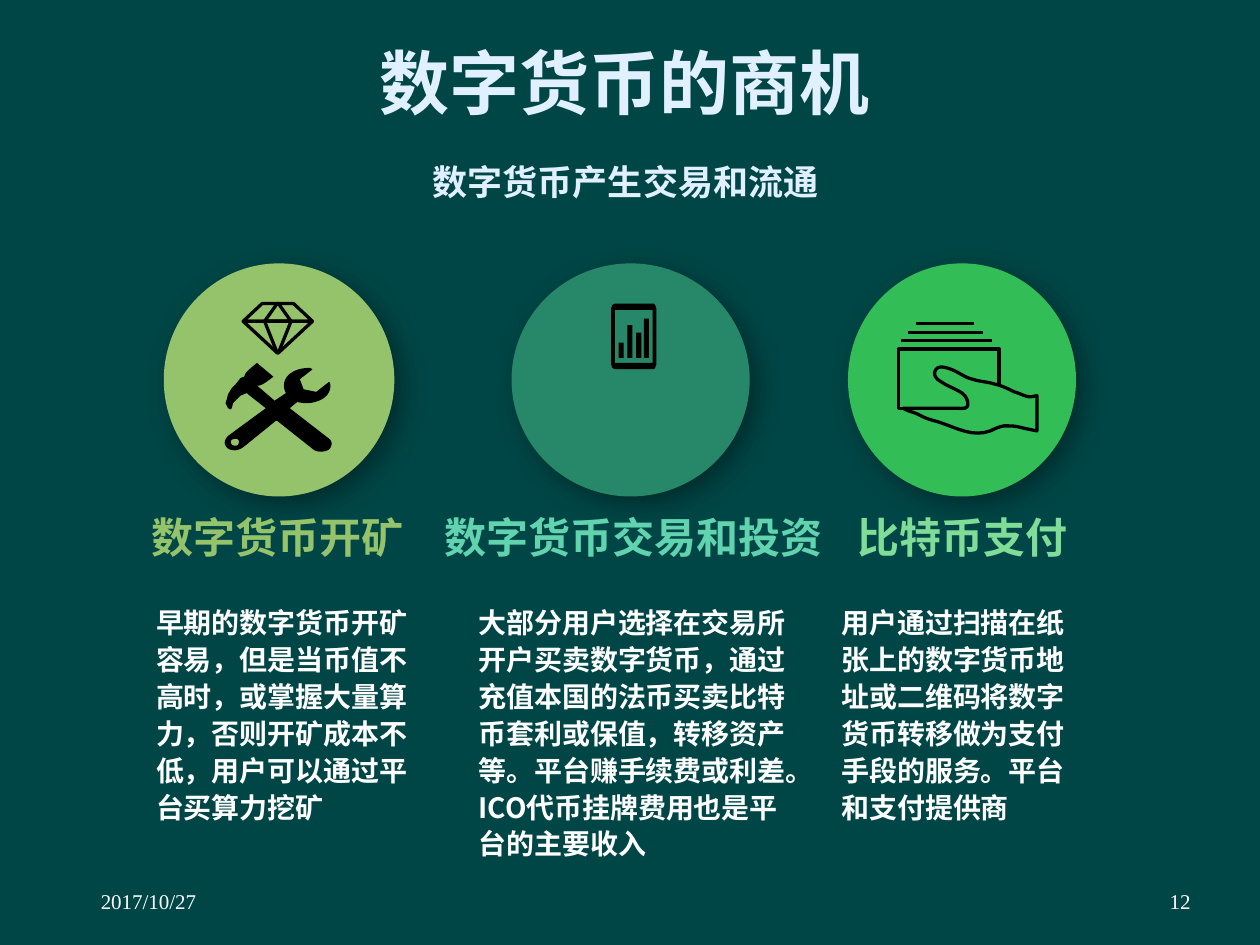
from dataclasses import dataclass

from lxml import etree
from pptx import Presentation
from pptx.dml.color import RGBColor
from pptx.enum.shapes import MSO_CONNECTOR, MSO_SHAPE
from pptx.enum.text import MSO_ANCHOR, MSO_AUTO_SIZE, PP_ALIGN
from pptx.oxml.ns import qn
from pptx.util import Inches, Pt

LEFT, CENTER, RIGHT = PP_ALIGN.LEFT, PP_ALIGN.CENTER, PP_ALIGN.RIGHT
TOP, MIDDLE = MSO_ANCHOR.TOP, MSO_ANCHOR.MIDDLE
FIT_SHAPE, FIT_NONE = MSO_AUTO_SIZE.SHAPE_TO_FIT_TEXT, MSO_AUTO_SIZE.NONE
OVAL, STRAIGHT = MSO_SHAPE.OVAL, MSO_CONNECTOR.STRAIGHT

BACKGROUND = RGBColor(0x00, 0x46, 0x46)
PALE_BLUE = RGBColor(0xE1, 0xF0, 0xFF)
OLIVE = RGBColor(0x95, 0xC3, 0x6B)
TEAL = RGBColor(0x26, 0x88, 0x68)
MINT = RGBColor(0x61, 0xD3, 0xAE)
GREEN = RGBColor(0x33, 0xBD, 0x56)
LIGHT_GREEN = RGBColor(0x7F, 0xDD, 0x97)
BLACK = RGBColor(0x00, 0x00, 0x00)
WHITE = RGBColor(0xFF, 0xFF, 0xFF)

CJK, SANS, SERIF = "Noto Sans CJK SC", "Arial", "Times New Roman"
ICON_LINE = Pt(1.88)
CURVE_STEPS = 8

Contour = list[tuple[float, ...]]


@dataclass
class Style:
    size: float
    font: str
    color: RGBColor
    bold: bool = True
    align: PP_ALIGN = CENTER
    spacing: float = 1.0


@dataclass
class Span:
    """Horizontal extent of a box."""
    left: float
    width: float


@dataclass
class Business:
    heading: str
    body: str
    circle: Span
    heading_box: Span
    body_box: Span
    body_height: float
    fill: RGBColor
    heading_color: RGBColor
    heading_wraps: bool = False


BUSINESSES = [
    Business("数字货币开矿",
             "早期的数字货币开矿容易，但是当币值不高时，或掌握大量算力，否则开矿成本不低，用户可以通过平台买算力挖矿",
             Span(1.3, 1.83), Span(1.06, 2.28), Span(1.14, 2.35), 1.88, OLIVE, OLIVE, True),
    Business("数字货币交易和投资",
             "大部分用户选择在交易所开户买卖数字货币，通过充值本国的法币买卖比特币套利或保值，"
             "转移资产等。平台赚手续费或利差。ICO代币挂牌费用也是平台的主要收入",
             Span(4.06, 1.89), Span(3.43, 3.2), Span(3.7, 2.69), 2.18, TEAL, MINT),
    Business("比特币支付",
             "用户通过扫描在纸张上的数字货币地址或二维码将数字货币转移做为支付手段的服务。平台和支付提供商",
             Span(6.73, 1.81), Span(6.71, 1.86), Span(6.58, 2.09), 1.88, GREEN, LIGHT_GREEN),
]

# A pair is a corner; six numbers are a cubic curve: two controls and an end.
TOOLS: list[Contour] = [
    [(2.61, 3.48), (2.3, 3.24), (2.36, 3.19), (2.43, 3.21, 2.51, 3.2, 2.57, 3.16),
     (2.61, 3.13, 2.63, 3.09, 2.62, 3.04), (2.61, 3.03), (2.6, 3.04), (2.51, 3.11),
     (2.41, 3.09), (2.38, 3.01), (2.47, 2.94), (2.48, 2.93), (2.46, 2.92),
     (2.41, 2.92, 2.35, 2.93, 2.31, 2.96), (2.25, 3, 2.24, 3.07, 2.27, 3.12),
     (2.18, 3.18), (2.04, 3.06), (2.07, 3.07, 2.13, 3.02, 2.17, 2.99), (2.04, 2.88),
     (1.98, 2.93, 1.94, 2.96, 1.94, 2.99), (1.91, 3), (1.87, 3.05), (1.84, 3.08),
     (1.81, 3.13), (1.8, 3.17), (1.79, 3.2), (1.81, 3.24), (1.83, 3.25), (1.84, 3.24),
     (1.85, 3.2), (1.88, 3.17), (1.91, 3.14), (1.96, 3.12), (1.97, 3.13), (2.11, 3.24),
     (1.81, 3.46), (1.78, 3.49, 1.77, 3.53, 1.81, 3.56),
     (1.84, 3.58, 1.89, 3.58, 1.93, 3.55), (2.19, 3.34), (2.2, 3.34), (2.49, 3.57),
     (2.52, 3.59, 2.57, 3.59, 2.61, 3.57), (2.64, 3.54, 2.64, 3.5, 2.61, 3.48)],
    [(1.89, 3.53), (1.88, 3.54, 1.86, 3.54, 1.84, 3.53), (1.83, 3.51, 1.83, 3.5, 1.84, 3.49),
     (1.86, 3.48, 1.88, 3.48, 1.89, 3.49), (1.9, 3.5, 1.9, 3.51, 1.89, 3.53)],
]
DIAMOND_FACETS: list[Contour] = [
    [(2.33, 2.41), (2.08, 2.41), (1.93, 2.55), (2.48, 2.55)],
    [(2.21, 2.8), (2.2, 2.8), (1.93, 2.55), (2.48, 2.55)],
    [(2.21, 2.8), (2.2, 2.8), (2.1, 2.55), (2.31, 2.55)],
    [(2.21, 2.41), (2.2, 2.41), (2.1, 2.55), (2.31, 2.55)],
]
BANKNOTE: Contour = [(7.67, 3.24), (7.13, 3.24), (7.13, 2.77), (7.93, 2.77), (7.93, 3.05)]
HAND: Contour = [
    (7.57, 3.24), (7.17, 3.24), (7.18, 3.25, 7.23, 3.27, 7.24, 3.27),
    (7.27, 3.28, 7.29, 3.29, 7.31, 3.3), (7.36, 3.33, 7.43, 3.34, 7.48, 3.36),
    (7.6, 3.4, 7.72, 3.47, 7.86, 3.42), (7.9, 3.4, 7.92, 3.39, 7.97, 3.38),
    (8.01, 3.38, 8.06, 3.38, 8.09, 3.39), (8.13, 3.4, 8.18, 3.41, 8.23, 3.42),
    (8.23, 3.14), (8.18, 3.15), (8.14, 3.15, 8.09, 3.12, 8.05, 3.11),
    (8.01, 3.09, 7.95, 3.06, 7.9, 3.05), (7.84, 3.03, 7.78, 3.03, 7.72, 3.01),
    (7.67, 3, 7.63, 2.97, 7.59, 2.95), (7.55, 2.93, 7.46, 2.89, 7.43, 2.93),
    (7.4, 2.97, 7.43, 3.01, 7.47, 3.03), (7.51, 3.06, 7.57, 3.08, 7.62, 3.11),
    (7.66, 3.13, 7.69, 3.18, 7.68, 3.22), (7.67, 3.25, 7.62, 3.24, 7.57, 3.24),
]
NOTE_EDGES = [(7.15, 7.87, 2.7), (7.21, 7.8, 2.64), (7.27, 7.73, 2.57)]
PHONE_CASE: Contour = [(5.19, 2.41), (5.2, 2.42), (5.21, 2.45), (5.21, 2.89), (5.2, 2.92),
                       (5.19, 2.93), (4.88, 2.93), (4.86, 2.92), (4.85, 2.89), (4.85, 2.45),
                       (4.86, 2.42), (4.88, 2.41)]
BAR_TOPS = [(4.91, 2.72), (4.98, 2.58), (5.05, 2.64), (5.11, 2.53)]


def rectangle(left: float, top: float, right: float, bottom: float) -> Contour:
    return [(left, top), (right, top), (right, bottom), (left, bottom)]


def flatten(contour: Contour) -> list[tuple[int, int]]:
    """Turn corners and cubic curves into points in EMU."""
    points = []
    for step in contour:
        if len(step) == 2:
            points.append(step)
            continue
        controls = [points[-1], step[:2], step[2:4], step[4:]]
        for index in range(1, CURVE_STEPS + 1):
            t = index / CURVE_STEPS
            weights = ((1 - t) ** 3, 3 * t * (1 - t) ** 2, 3 * t * t * (1 - t), t ** 3)
            points.append(tuple(sum(w * c[axis] for w, c in zip(weights, controls))
                                for axis in (0, 1)))
    return [(Inches(x), Inches(y)) for x, y in points]


def draw_outline(shapes, contours: list[Contour], filled: bool = False, close: bool = True) -> None:
    first, *others = [flatten(contour) for contour in contours]
    builder = shapes.build_freeform(*first[0])
    builder.add_line_segments(first[1:], close=close)
    for points in others:
        builder.move_to(*points[0])
        builder.add_line_segments(points[1:], close=close)
    shape = builder.convert_to_shape()
    shape.shadow.inherit = False
    if filled:
        shape.fill.solid()
        shape.fill.fore_color.rgb = BLACK
        shape.line.fill.background()
    else:
        shape.fill.background()
        shape.line.color.rgb = BLACK
        shape.line.width = ICON_LINE


def draw_edge(shapes, left: float, right: float, y: float) -> None:
    edge = shapes.add_connector(STRAIGHT, Inches(left), Inches(y), Inches(right), Inches(y))
    edge.line.color.rgb = BLACK
    edge.line.width = ICON_LINE
    etree.SubElement(edge._element.spPr, qn("a:effectLst"))


def draw_circle(shapes, span: Span, color: RGBColor) -> None:
    circle = shapes.add_shape(OVAL, Inches(span.left), Inches(2.09), Inches(span.width), Inches(1.85))
    circle.fill.solid()
    circle.fill.fore_color.rgb = color
    circle.line.fill.background()
    circle.shadow.inherit = False
    effects = circle._element.spPr.find(qn("a:effectLst"))
    shadow = etree.SubElement(effects, qn("a:outerShdw"), blurRad=str(Pt(15)), dist=str(Pt(6.2)),
                              dir=str(45 * 60000), algn="tl", rotWithShape="0")
    tint = etree.SubElement(shadow, qn("a:srgbClr"), val=str(BLACK))
    etree.SubElement(tint, qn("a:alpha"), val="36000")


def set_text(box, text: str, style: Style, area: tuple, insets: tuple = (0.1, 0.05, 0.1, 0.05),
             wrap: bool = True, fit: MSO_AUTO_SIZE = FIT_SHAPE, anchor: MSO_ANCHOR = TOP) -> None:
    """Place a box (left, top, width, height) and fill it with one styled run."""
    box.left, box.top, box.width, box.height = map(Inches, area)
    frame = box.text_frame
    frame.margin_left, frame.margin_top, frame.margin_right, frame.margin_bottom = map(Inches, insets)
    frame.auto_size, frame.word_wrap, frame.vertical_anchor = fit, wrap, anchor
    para = frame.paragraphs[0]
    para.alignment, para.line_spacing = style.align, style.spacing
    run = para.add_run()
    run.text = text
    run.font.size, run.font.name, run.font.bold = Pt(style.size), style.font, style.bold
    run.font.color.rgb = style.color
    etree.SubElement(run.font._element, qn("a:ea"), typeface=style.font)


def main() -> None:
    deck = Presentation()
    deck.slide_width, deck.slide_height = Inches(10), Inches(7.5)
    page = deck.slides.add_slide(deck.slide_layouts[0])
    page.background.fill.solid()
    page.background.fill.fore_color.rgb = BACKGROUND
    shapes = page.shapes

    def add_text(*args, **options) -> None:
        set_text(shapes.add_textbox(0, 0, 0, 0), *args, **options)

    set_text(shapes.title, "数字货币的商机", Style(40, SANS, PALE_BLUE),
             (2.89, 0.26, 4.13, 0.77), wrap=False)
    set_text(page.placeholders[1], "数字货币产生交易和流通", Style(20, SANS, PALE_BLUE, spacing=1.2),
             (2.09, 1.09, 5.75, 0.6), (0.24, 0.12, 0.24, 0.12), fit=FIT_NONE)

    for item in BUSINESSES:
        draw_circle(shapes, item.circle, item.fill)
        add_text(item.heading, Style(24, CJK, item.heading_color),
                 (item.heading_box.left, 4.02, item.heading_box.width, 0.49),
                 (0.08, 0.04, 0.08, 0.04), wrap=item.heading_wraps)
        add_text(item.body, Style(16, CJK, WHITE, align=LEFT, spacing=1.1),
                 (item.body_box.left, 4.73, item.body_box.width, item.body_height))

    draw_outline(shapes, TOOLS, filled=True)
    for facet in DIAMOND_FACETS:
        draw_outline(shapes, [facet])
    draw_outline(shapes, [BANKNOTE], close=False)
    draw_outline(shapes, [HAND])
    for left, right, y in NOTE_EDGES:
        draw_edge(shapes, left, right, y)
    bars = [rectangle(left, top, left + 0.04, 2.84) for left, top in BAR_TOPS]
    draw_outline(shapes, [PHONE_CASE, rectangle(4.88, 2.46, 5.18, 2.88), *bars], filled=True)

    add_text("12", Style(12, SERIF, WHITE, False, RIGHT), (7.17, 6.95, 2.33, 0.4),
             (0.05, 0.05, 0.05, 0.05), fit=FIT_NONE, anchor=MIDDLE)
    add_text("2017/10/27", Style(12, SERIF, WHITE, False, LEFT), (0.5, 6.95, 2.33, 0.4),
             (0.3, 0.05, 0.1, 0.05), fit=FIT_NONE, anchor=MIDDLE)
    deck.save("out.pptx")


if __name__ == "__main__":
    main()
